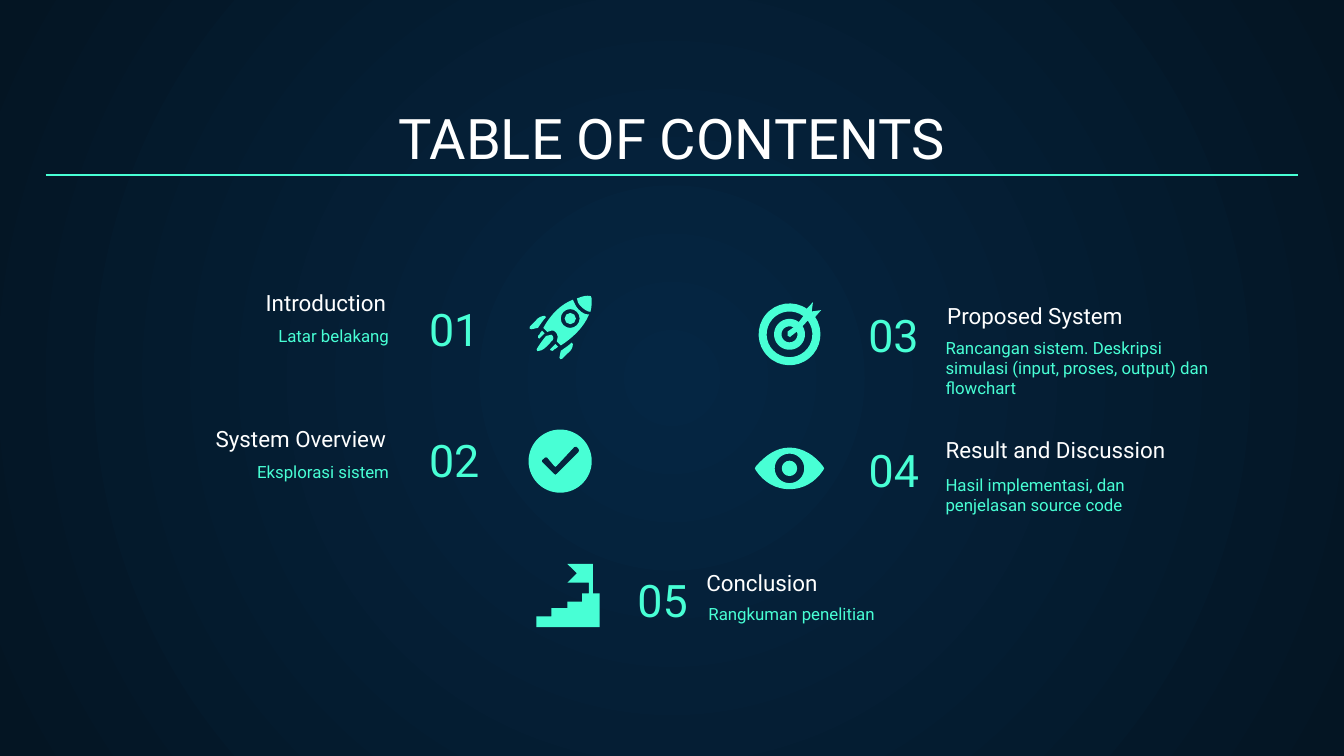
from math import ceil, cos, radians, sin, tan

from lxml.etree import SubElement
from pptx import Presentation
from pptx.dml.color import RGBColor
from pptx.enum.shapes import MSO_CONNECTOR
from pptx.enum.text import MSO_ANCHOR, MSO_AUTO_SIZE, PP_ALIGN
from pptx.oxml.ns import qn
from pptx.util import Cm, Pt

WHITE = RGBColor(0xFF, 0xFF, 0xFF)
MINT = RGBColor(0x48, 0xFF, 0xD5)
NAVY = RGBColor(0x05, 0x26, 0x43)
MIDNIGHT = RGBColor(0x04, 0x15, 0x23)
FONT = "Roboto"
LEFT, RIGHT, CENTER = PP_ALIGN.LEFT, PP_ALIGN.RIGHT, PP_ALIGN.CENTER
TOP, BOTTOM = MSO_ANCHOR.TOP, MSO_ANCHOR.BOTTOM

GRID = Cm(2.54) / 100  # one step of the icon drawing grid

# Each entry: number, heading and description as (text, left, top, align);
# the description also has its width
ENTRIES = [
    (("01", 7.86, 5.29, LEFT), ("Introduction", 1.78, 5.7, RIGHT),
     ("Latar belakang", 2.01, 5.9, RIGHT, 5.59)),
    (("02", 7.86, 7.77, LEFT), ("System Overview", 1.78, 8.27, RIGHT),
     ("Eksplorasi sistem", 2.01, 8.47, RIGHT, 5.59)),
    (("03", 16.16, 5.41, LEFT), ("Proposed System", 15.7, 5.94, RIGHT),
     ("Rancangan sistem. Deskripsi simulasi (input, proses, output) dan flowchart",
      17.62, 6.13, LEFT, 5.59)),
    (("04", 14.34, 7.95, RIGHT), ("Result and Discussion", 17.62, 8.47, LEFT),
     ("Hasil implementasi, dan penjelasan source code", 17.62, 8.72, LEFT, 5.26)),
    (("05", 9.97, 10.41, RIGHT), ("Conclusion", 13.1, 10.98, LEFT),
     ("Rangkuman penelitian", 13.14, 11.16, LEFT, 5.26)),
]


def paint_background(page):
    fill = page.background.fill
    fill.gradient()
    for stop, color in zip(fill.gradient_stops, (NAVY, MIDNIGHT)):
        stop.color.rgb = color
    gradient = page._element.find(".//" + qn("a:gradFill"))
    gradient.remove(gradient.find(qn("a:lin")))
    radial = SubElement(gradient, qn("a:path"), path="circle")
    SubElement(radial, qn("a:fillToRect"), l="50000", t="50000", r="50000", b="50000")


def write_text(box, text, size, color, align, anchor):
    frame = box.text_frame
    margins = {f"margin_{side}": Cm(0.25) for side in ("left", "top", "right", "bottom")}
    settings = {"word_wrap": True, "auto_size": MSO_AUTO_SIZE.NONE,
                "vertical_anchor": anchor, **margins}
    for name, value in settings.items():
        setattr(frame, name, value)
    para = frame.paragraphs[0]
    para.alignment = align
    span = para.add_run()
    span.text = text
    for name, value in {"name": FONT, "size": Pt(size), "bold": False}.items():
        setattr(span.font, name, value)
    span.font.color.rgb = color


def add_text(page, text, left, top, width, height, *style):
    box = page.shapes.add_textbox(Cm(left), Cm(top), Cm(width), Cm(height))
    write_text(box, text, *style)


def add_title(page, text):
    title = page.shapes.title
    place = {"left": Cm(0.86), "top": Cm(1.79), "width": Cm(23.67), "height": Cm(1.68)}
    for name, value in place.items():
        setattr(title, name, value)
    write_text(title, text, 30, WHITE, CENTER, BOTTOM)


def add_entry(page, number, heading, description):
    text, left, top, align, width = description
    add_text(page, text, left, top, width, 1.4, 9, MINT, align, TOP)
    text, left, top, align = number
    add_text(page, text, left, top, 3.28, 1.68, 24, MINT, align, BOTTOM)
    text, left, top, align = heading
    add_text(page, text, left, top, 5.77, 0.53, 12, WHITE, align, BOTTOM)


def add_rule(page):
    rule = page.shapes.add_connector(
        MSO_CONNECTOR.STRAIGHT, Cm(0.86), Cm(3.31), Cm(24.54), Cm(3.31))
    rule.line.color.rgb = MINT
    rule.line.width = Pt(0.75)
    SubElement(rule._element.spPr, qn("a:effectLst"))


# An outline is a list of steps: pairs are corners, sixes are Bezier curves

def arc(x, y, radius, start=0, end=360):
    """Steps along an arc, measured clockwise from the right-hand side."""
    count = ceil(abs(end - start) / 90)
    turn = radians(end - start) / count
    pull = 4 / 3 * tan(turn / 4)
    steps = [(x + radius * cos(radians(start)), y + radius * sin(radians(start)))]
    for i in range(count):
        a = radians(start) + i * turn
        b = a + turn
        steps.append((x + radius * (cos(a) - pull * sin(a)),
                      y + radius * (sin(a) + pull * cos(a)),
                      x + radius * (cos(b) + pull * sin(b)),
                      y + radius * (sin(b) - pull * cos(b)),
                      x + radius * cos(b), y + radius * sin(b)))
    return steps


def mirrored(steps):
    """Reflect across the long axis of the rocket."""
    return [tuple(48 - value for i in range(0, len(step), 2)
                  for value in (step[i + 1], step[i])) for step in steps]


def bend_curves(icon, contours):
    """Turn the three segments of each six-value step into one curve."""
    outline = icon._element.find(".//" + qn("a:path"))
    nodes = iter(list(outline))
    for contour in contours:
        next(nodes)  # move to the start
        for step in contour[1:]:
            segments = [next(nodes) for _ in range(len(step) // 2)]
            if len(segments) == 3:
                curve = SubElement(outline, qn("a:cubicBezTo"))
                segments[0].addprevious(curve)
                for segment in segments:
                    curve.append(segment[0])
                    outline.remove(segment)
        next(nodes)  # close


def add_icon(shapes, left, top, *contours):
    first, *others = [[(round(step[i] * GRID), round(step[i + 1] * GRID))
                       for step in contour for i in range(0, len(step), 2)]
                      for contour in contours]
    builder = shapes.build_freeform(*first[0])
    builder.add_line_segments(first[1:])
    for points in others:
        builder.move_to(*points[0])
        builder.add_line_segments(points[1:])
    icon = builder.convert_to_shape(Cm(left), Cm(top))
    bend_curves(icon, contours)
    icon.shadow.inherit = False
    icon.fill.solid()
    icon.fill.fore_color.rgb = MINT
    icon.line.fill.background()


def add_rocket(page):
    nose = [(44, 0), (41, 0, 39, 1, 36, 2), (36, 4, 37, 6, 39, 8),
            (41, 10, 44, 12, 46, 12), (47, 9, 47, 5, 47, 2), (47, 0, 46, 0, 44, 0)]
    hull = [(33, 3), (25, 6, 17, 13, 11, 24), (14, 27), (15, 26, 16, 26, 17, 26),
            (18, 26, 20, 26, 20, 27), (22, 29, 22, 31, 21, 34), (24, 37),
            (32, 32, 41, 24, 45, 14), (42, 14, 40, 13, 37, 10), (35, 8, 34, 5, 33, 3)]
    fin = [(12, 15), (10, 15, 7, 16, 5, 19), (1, 23), (0, 24, 1, 25, 2, 25),
           (4, 24, 5, 24, 7, 24), (9, 21, 11, 18, 13, 16), (13, 16, 12, 15, 12, 15)]
    spark = [(10, 26), (8, 28, 8, 30, 7, 30), (7, 31, 7, 32, 8, 32),
             (9, 31, 10, 30, 11, 29), (12, 28)]
    flame = [(17, 29), (16, 29, 14, 30, 13, 30), (9, 35, 7, 38, 6, 40),
             (6, 41, 7, 42, 8, 41), (10, 41, 13, 39, 17, 34), (19, 33, 19, 30, 17, 29)]
    group = page.shapes.add_group_shape()
    parts = ([spark], [mirrored(spark)], [flame], [fin], [mirrored(fin)],
             [arc(31, 17, 4.2)], [nose], [hull, arc(31, 17, 7)])
    for part in parts:
        add_icon(group.shapes, 9.99, 5.59, *part)


def add_icons(page):
    # Target: disc with arrow tail, open ring gap, centre cut by the shaft
    x, y = 22.5, 24
    add_icon(page.shapes, 14.35, 5.71,
             arc(x, y, 23, -34, 304) + [(40, 0), (39, 7), (46, 6)],
             arc(x, y, 17, -37, 307) + arc(x, y, 11.5, 307, -32),
             arc(x, y, 6, 0, 300) + [(21, 22), (21, 25), (23, 26), (24, 25), (28, 22)])
    add_rocket(page)
    # Check mark in a disc
    add_icon(page.shapes, 9.99, 8.12, arc(23.5, 23.5, 23.5),
             [(34, 13), (35, 12, 36, 13, 37, 14), (38, 15, 38, 16, 37, 17), (21, 33),
              (20, 34, 20, 34, 19, 33), (10, 24), (9, 23, 10, 23, 12, 21),
              (13, 20, 13, 21, 14, 21), (19, 27), (20, 28, 20, 28, 21, 27)])
    # Stairs with a flag
    add_icon(page.shapes, 10.14, 10.66,
             [(23, 0), (30, 7), (23, 14), (39, 14), (39, 22), (34, 22), (34, 28), (23, 28),
              (23, 33), (11, 33), (11, 39), (0, 39), (0, 47), (47, 47), (47, 22),
              (42, 22), (42, 0)])
    # Eye
    lens = [(26, 0), (16, 0, 8, 6, 1, 14), (0, 15, 0, 16, 1, 17),
            (7, 26, 16, 31, 26, 31), (36, 31, 45, 26, 51, 17),
            (52, 16, 52, 15, 51, 14), (45, 6, 36, 0, 26, 0)]
    add_icon(page.shapes, 14.26, 8.46, lens, arc(26, 15.5, 11), arc(26, 15.5, 5.7))


def main():
    deck = Presentation()
    deck.slide_width, deck.slide_height = Cm(25.4), Cm(14.29)
    page = deck.slides.add_slide(deck.slide_layouts[5])
    paint_background(page)
    add_title(page, "TABLE OF CONTENTS")
    for entry in ENTRIES:
        add_entry(page, *entry)
    add_icons(page)
    add_rule(page)
    deck.save("out.pptx")


if __name__ == "__main__":
    main()
